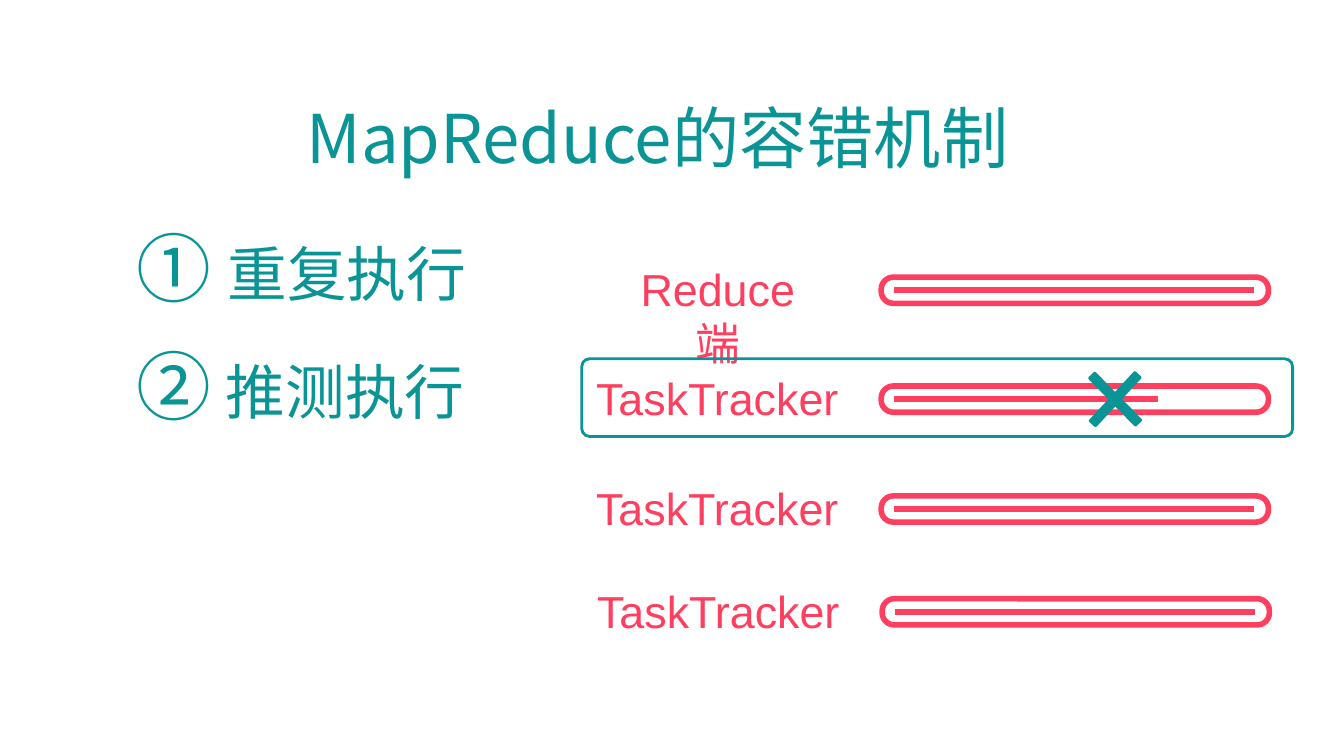
"""Builds the slide on fault tolerance in MapReduce."""
from dataclasses import dataclass

import lxml.etree
import pptx
import pptx.dml.color
import pptx.enum.shapes
import pptx.enum.text
import pptx.oxml.ns
import pptx.util

Inches = pptx.util.Inches
Pt = pptx.util.Pt
Shape = pptx.enum.shapes.MSO_SHAPE
Align = pptx.enum.text.PP_ALIGN
Anchor = pptx.enum.text.MSO_ANCHOR
qn = pptx.oxml.ns.qn


@dataclass
class Theme:
    teal: str = "0A9496"
    red: str = "FF3F5F"
    han: str = "Noto Sans CJK SC"
    latin: str = "Arial"
    title: float = 48
    mark: float = 53.4
    gap: float = 48
    item: float = 42.6
    label: float = 32
    bar: float = 4
    frame: float = 2


class Deck:
    def __init__(self, theme):
        self.theme = theme
        self.file = pptx.Presentation()
        self.file.slide_width = Inches(13.33)
        self.file.slide_height = Inches(7.5)
        self.slide = self.file.slides.add_slide(self.file.slide_layouts[1])

    def place(self, shape, left, top, width, height):
        shape.left, shape.top = Inches(left), Inches(top)
        shape.width, shape.height = Inches(width), Inches(height)

    def style(self, run, size, color, font):
        run.font.size = Pt(size)
        run.font.name = font
        run.font.color.rgb = pptx.dml.color.RGBColor.from_string(color)
        east = lxml.etree.Element(qn("a:ea"), typeface=font)
        run.font._element.find(qn("a:latin")).addnext(east)

    def title(self, text, *box):
        shape = self.slide.shapes.title
        self.place(shape, *box)
        frame = shape.text_frame
        frame.text = text
        frame.word_wrap = False
        para = frame.paragraphs[0]
        para.alignment = Align.LEFT
        self.style(para.runs[0], self.theme.title, self.theme.teal, self.theme.han)

    def items(self, rows, space, *box):
        shape = self.slide.placeholders[1]
        self.place(shape, *box)
        frame = shape.text_frame
        frame.vertical_anchor = Anchor.TOP
        frame.auto_size = pptx.enum.text.MSO_AUTO_SIZE.NONE
        for order, row in enumerate(rows):
            para = frame.add_paragraph() if order else frame.paragraphs[0]
            props = para._p.get_or_add_pPr()
            props.set("marL", "0")
            props.set("indent", "0")
            lxml.etree.SubElement(props, qn("a:buNone"))
            para.space_before = Pt(space if order else 0)
            for text, size in row:
                run = para.add_run()
                run.text = text
                self.style(run, size, self.theme.teal, self.theme.han)

    def label(self, text, *box):
        shape = self.slide.shapes.add_textbox(*map(Inches, box))
        frame = shape.text_frame
        frame.word_wrap = True
        frame.text = text
        para = frame.paragraphs[0]
        para.alignment = Align.CENTER
        self.style(para.runs[0], self.theme.label, self.theme.red, self.theme.latin)

    def outline(self, color, weight, round_by, *box):
        shape = self.slide.shapes.add_shape(Shape.ROUNDED_RECTANGLE, *map(Inches, box))
        shape.shadow.inherit = False
        shape.adjustments[0] = round_by
        shape.fill.background()
        shape.line.width = Pt(weight)
        shape.line.color.rgb = pptx.dml.color.RGBColor.from_string(color)

    def line(self, left, top, width):
        ends = map(Inches, (left, top, left + width, top))
        line = self.slide.shapes.add_connector(
            pptx.enum.shapes.MSO_CONNECTOR.STRAIGHT, *ends)
        line.line.width = Pt(self.theme.bar)
        line.line.color.rgb = pptx.dml.color.RGBColor.from_string(self.theme.red)
        lxml.etree.SubElement(line._element.spPr, qn("a:effectLst"))

    def cross(self, angles, *box):
        group = self.slide.shapes.add_group_shape()
        for angle in angles:
            arm = group.shapes.add_shape(Shape.ROUNDED_RECTANGLE, *map(Inches, box))
            arm.shadow.inherit = False
            arm.rotation = angle
            arm.fill.solid()
            arm.fill.fore_color.rgb = pptx.dml.color.RGBColor.from_string(self.theme.teal)
            arm.line.fill.background()

    def task(self, text, left, top, width, start, done):
        self.label(text, left, top - 0.2, width, 0.64)
        self.outline(self.theme.red, self.theme.bar, 0.46, start, top, 3.84, 0.26)
        self.line(start + 0.13, top + 0.13, done)


def main():
    theme = Theme()
    deck = Deck(theme)
    deck.title("MapReduce的容错机制", 2.94, 0.9, 7.4, 0.91)
    deck.items([
        [("① ", theme.mark), ("重复执行", theme.item)],
        [("②", theme.mark), (" ", theme.gap), ("推测执行", theme.item)],
    ], 20, 1.25, 2.15, 4, 2.6)
    for task in [
        ("Reduce端", 6.12, 2.75, 2, 8.74, 3.57),
        ("TaskTracker", 5.78, 3.83, 2.67, 8.74, 2.62),
        ("TaskTracker", 5.78, 4.92, 2.67, 8.74, 3.57),
        ("TaskTracker", 5.79, 5.94, 2.67, 8.75, 3.57),
    ]:
        deck.task(*task)
    deck.cross((45.7, 132.8), 10.72, 3.91, 0.68, 0.1)
    deck.outline(theme.teal, theme.frame, 0.1, 5.77, 3.56, 7.05, 0.77)
    deck.file.save("out.pptx")


if __name__ == "__main__":
    main()
